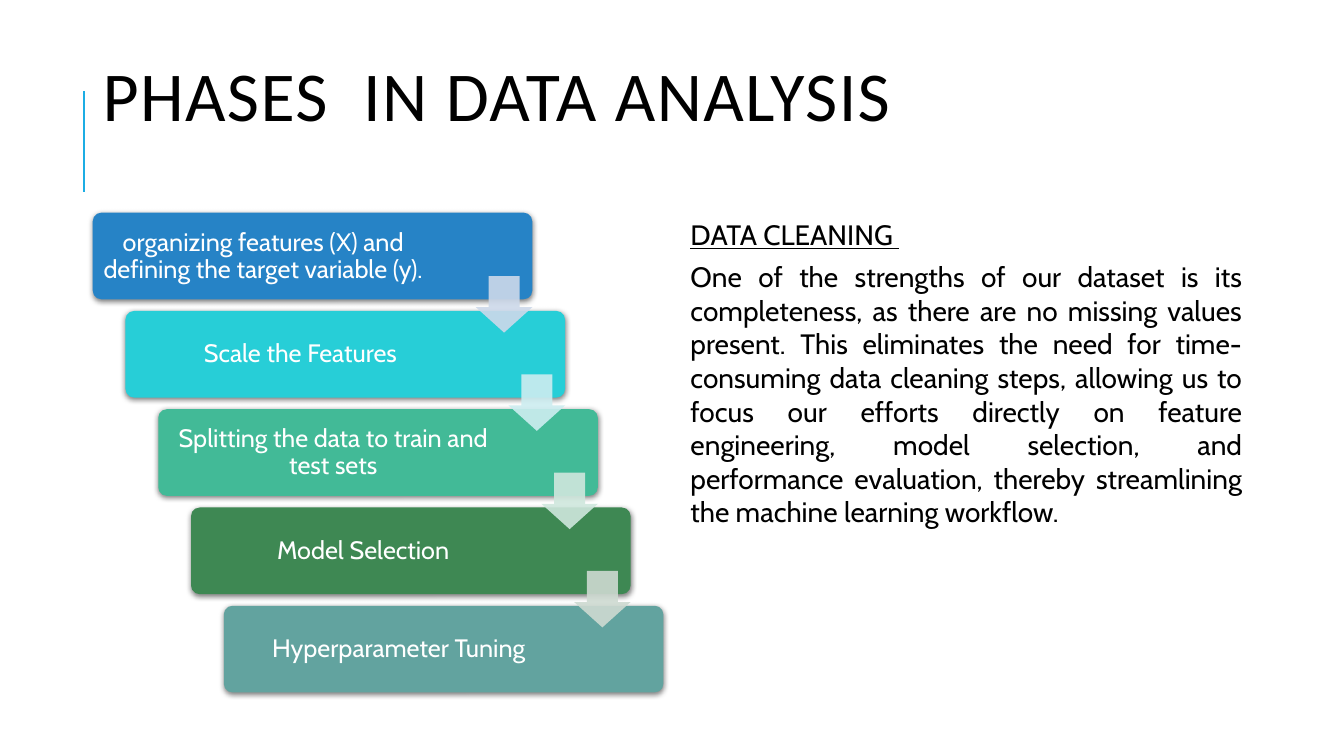
from dataclasses import dataclass

from lxml.etree import SubElement
from pptx import Presentation
from pptx.dml.color import RGBColor
from pptx.enum.shapes import MSO_CONNECTOR, MSO_SHAPE
from pptx.enum.text import MSO_ANCHOR, PP_ALIGN
from pptx.oxml.ns import qn
from pptx.util import Inches, Pt


@dataclass(frozen=True)
class Theme:
    """Colours, fonts and type sizes of the slide."""
    accent: str = "1CADE4"
    ink: str = "000000"
    paper: str = "FFFFFF"
    title_font: str = "Calibri"
    body_font: str = "Cabin"
    title_size: int = 50
    body_size: int = 20
    step_size: int = 18
    steps: tuple = ("2683C6", "27CED7", "42BA97", "3E8853", "62A39F")
    arrows: tuple = ("CDD9EA", "CDEDF0", "CFE7DD", "CEDAD1")


class SlideBuilder:
    """Draws themed elements on one slide."""

    def __init__(self, slide, theme):
        self.slide = slide
        self.theme = theme

    def rule(self, x, top, bottom):
        """Draw the vertical accent line."""
        line = self.slide.shapes.add_connector(
            MSO_CONNECTOR.STRAIGHT, Inches(x), Inches(bottom), Inches(x), Inches(top))
        line.line.color.rgb = RGBColor.from_string(self.theme.accent)
        line.line.width = Pt(1.5)
        SubElement(line._element.spPr, qn("a:effectLst"))

    def text(self, box, paragraphs, size, font, color, align=PP_ALIGN.LEFT,
             anchor=MSO_ANCHOR.TOP, spacing=1.0, after=0, inset=None):
        """Add a wrapped text box and return its paragraphs."""
        frame = self.slide.shapes.add_textbox(*map(Inches, box)).text_frame
        frame.word_wrap = True
        frame.vertical_anchor = anchor
        if inset is not None:
            frame.margin_left = frame.margin_right = Inches(inset)
            frame.margin_top = frame.margin_bottom = Inches(inset)
        frame.text = "\n".join(paragraphs)
        for paragraph in frame.paragraphs:
            paragraph.alignment = align
            paragraph.line_spacing = spacing
            paragraph.space_after = Pt(after)
            paragraph.font.size = Pt(size)
            paragraph.font.name = font
            paragraph.font.color.rgb = RGBColor.from_string(color)
        return frame.paragraphs

    def shape(self, kind, box, color, adjustments):
        """Add a filled preset shape without outline or shadow."""
        shape = self.slide.shapes.add_shape(kind, *map(Inches, box))
        shape.shadow.inherit = False
        shape.fill.solid()
        shape.fill.fore_color.rgb = RGBColor.from_string(color)
        shape.line.fill.background()
        for index, value in enumerate(adjustments):
            shape.adjustments[index] = value
        return shape

    def step(self, left, top, label, label_width, color):
        """Draw one rounded step with its soft shadow and label."""
        card = self.shape(MSO_SHAPE.ROUNDED_RECTANGLE, (left, top, 4.36, 0.86), color, [0.1])
        effects = card._element.spPr.find(qn("a:effectLst"))
        shadow = SubElement(effects, qn("a:outerShdw"), blurRad=str(Pt(4)),
                            dist=str(Pt(1)), dir="5400000", rotWithShape="0")
        shade = SubElement(shadow, qn("a:srgbClr"), val=self.theme.ink)
        SubElement(shade, qn("a:alpha"), val="50000")
        self.text((left + 0.02, top + 0.03, label_width, 0.81), [label],
                  self.theme.step_size, self.theme.body_font, self.theme.paper,
                  PP_ALIGN.CENTER, MSO_ANCHOR.MIDDLE, spacing=0.9, inset=0.07)

    def arrow(self, left, top, color):
        """Draw one translucent down arrow."""
        arrow = self.shape(MSO_SHAPE.DOWN_ARROW, (left, top, 0.56, 0.56), color, [0.55, 0.45])
        arrow.rotation = 0
        fill = arrow._element.spPr.find(qn("a:solidFill"))
        SubElement(fill[0], qn("a:alpha"), val="90000")

    def title(self, wording):
        """Add the slide title."""
        heading = self.text((0.92, 0.28, 11.49, 1.11), [wording], self.theme.title_size,
                            self.theme.title_font, self.theme.ink,
                            anchor=MSO_ANCHOR.BOTTOM, spacing=0.8)[0]
        heading.runs[0].font._element.set("spc", "100")

    def explanation(self, heading, body):
        """Add the underlined heading with its justified paragraph."""
        paragraphs = self.text((6.75, 2.11, 5.67, 4.76), [heading, body],
                               self.theme.body_size, self.theme.body_font,
                               self.theme.ink, PP_ALIGN.JUSTIFY, after=6)
        paragraphs[0].font.underline = True


STEPS = [
    ("organizing features (X) and defining the target variable (y).", 3.34),
    ("Scale the Features", 3.43),
    ("Splitting the data to train and test sets", 3.43),
    ("Model Selection ", 3.43),
    ("Hyperparameter Tuning", 3.43),
]
STEP_RIGHT = 1.3 / (len(STEPS) - 1)
STEP_DOWN = 3.9 / (len(STEPS) - 1)


def main():
    """Build and save the slide."""
    presentation = Presentation()
    presentation.slide_width = Inches(13.33)
    presentation.slide_height = Inches(7.5)
    slide = presentation.slides.add_slide(presentation.slide_layouts[6])
    theme = Theme()
    builder = SlideBuilder(slide, theme)

    builder.rule(0.83, 0.9, 1.9)
    builder.title("PHASES  IN DATA ANALYSIS")
    for index, ((label, label_width), color) in enumerate(zip(STEPS, theme.steps)):
        builder.step(0.92 + index * STEP_RIGHT, 2.11 + index * STEP_DOWN,
                     label, label_width, color)
    for index, color in enumerate(theme.arrows):
        builder.arrow(4.72 + index * STEP_RIGHT, 2.74 + index * STEP_DOWN, color)
    builder.explanation(
        "DATA CLEANING ",
        "One of the strengths of our dataset is its completeness, as there are no "
        "missing values present. This eliminates the need for time-consuming data "
        "cleaning steps, allowing us to focus our efforts directly on feature "
        "engineering, model selection, and performance evaluation, thereby "
        "streamlining the machine learning workflow.")
    presentation.save("out.pptx")


if __name__ == "__main__":
    main()
